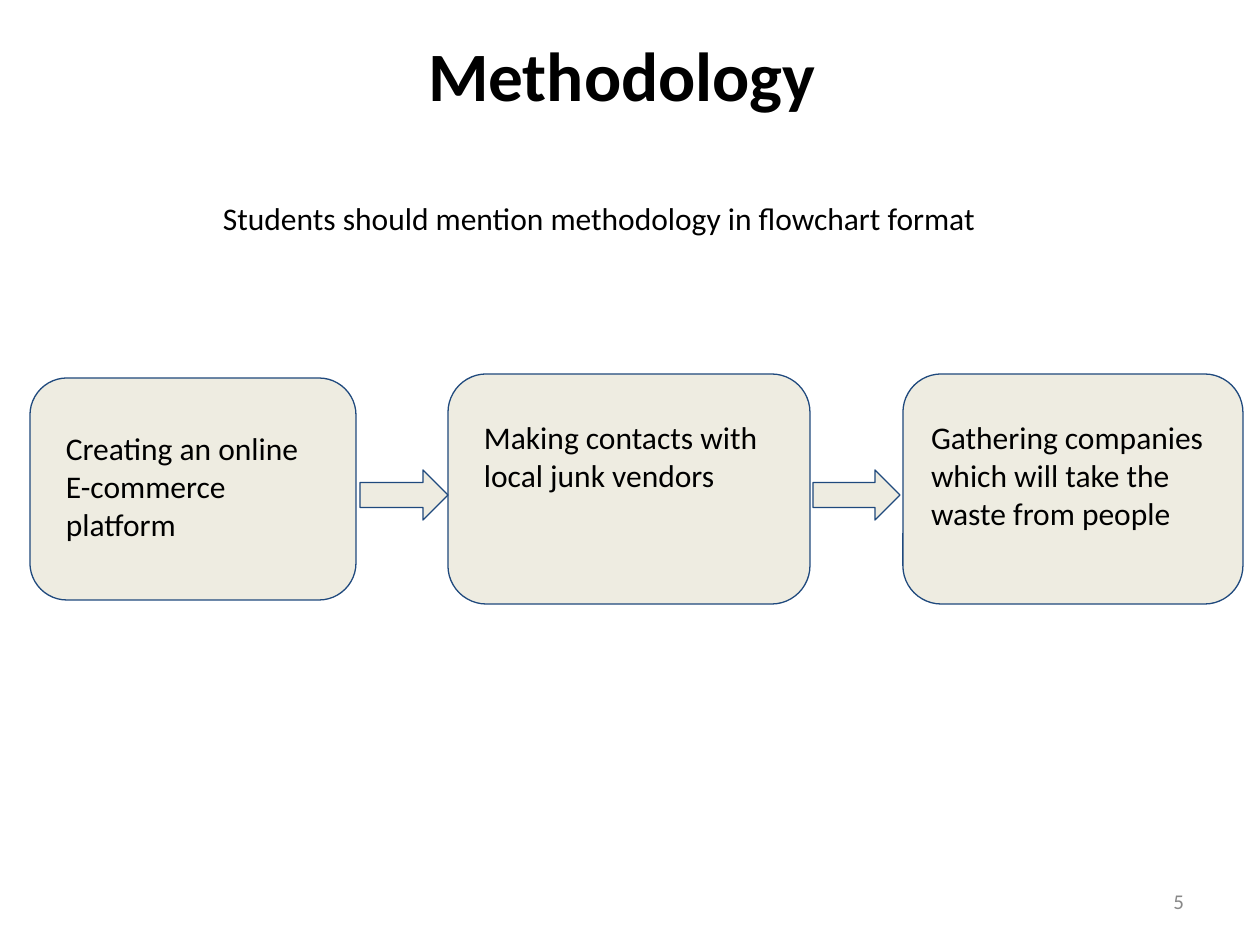
"""Build the Methodology slide: three flowchart steps joined by block arrows."""
from dataclasses import dataclass

from pptx import Presentation
from pptx.dml.color import RGBColor
from pptx.enum.shapes import MSO_SHAPE
from pptx.enum.text import MSO_ANCHOR, PP_ALIGN
from pptx.util import Pt

EMU_PER_PX = 914400 / 126


@dataclass(frozen=True)
class Theme:
    font: str = "Calibri"
    ink: str = "000000"
    muted: str = "888888"
    fill: str = "EEECE1"
    outline: str = "1F497D"
    title_size: float = 39.6
    body_size: float = 18
    number_size: float = 12
    outline_width: float = 0.75


THEME = Theme()
TITLE = ("Methodology", (55, 32, 1134, 157))
INSTRUCTION = ("Students should mention methodology in flowchart format", (210, 193, 903, 50))
PAGE_NUMBER = ("5", (903, 876, 294, 50))
STEPS = [
    ("Creating an online E-commerce platform", (30, 378, 326, 222), (53, 416, 266, 140)),
    ("Making contacts with local junk vendors", (448, 374, 362, 230), (471, 405, 318, 102)),
    ("Gathering companies which will take the waste from people", (903, 374, 340, 230), (918, 405, 310, 140)),
]
ARROWS = [(360, 470, 88, 50), (813, 470, 87, 50)]


def px(length):
    return round(length * EMU_PER_PX)


def add_text(slide, text, box, size=THEME.body_size, color=THEME.ink, bold=False,
             align=PP_ALIGN.LEFT, anchor=MSO_ANCHOR.TOP, inset=6):
    frame = slide.shapes.add_textbox(*map(px, box)).text_frame
    frame.word_wrap = True
    frame.vertical_anchor = anchor
    frame.margin_left = frame.margin_right = px(13)
    frame.margin_top = frame.margin_bottom = px(inset)
    paragraph = frame.paragraphs[0]
    paragraph.alignment = align
    run = paragraph.add_run()
    run.text = text
    run.font.name = THEME.font
    run.font.size = Pt(size)
    run.font.bold = bold
    run.font.color.rgb = RGBColor.from_string(color)


def add_block(slide, preset, box):
    block = slide.shapes.add_shape(preset, *map(px, box))
    block.shadow.inherit = False
    block.fill.solid()
    block.fill.fore_color.rgb = RGBColor.from_string(THEME.fill)
    block.line.color.rgb = RGBColor.from_string(THEME.outline)
    block.line.width = Pt(THEME.outline_width)


def main():
    deck = Presentation()
    deck.slide_width, deck.slide_height = px(1260), px(945)
    slide = deck.slides.add_slide(deck.slide_layouts[6])

    add_text(slide, *TITLE, size=THEME.title_size, bold=True, align=PP_ALIGN.CENTER, inset=0)
    add_text(slide, *PAGE_NUMBER, size=THEME.number_size, color=THEME.muted,
             align=PP_ALIGN.RIGHT, anchor=MSO_ANCHOR.MIDDLE)
    add_text(slide, *INSTRUCTION)

    for _, step_box, _ in STEPS:
        add_block(slide, MSO_SHAPE.ROUNDED_RECTANGLE, step_box)
    for arrow_box in ARROWS:
        add_block(slide, MSO_SHAPE.RIGHT_ARROW, arrow_box)
    for label, _, label_box in STEPS:
        add_text(slide, label, label_box, inset=13)

    deck.save("out.pptx")


if __name__ == "__main__":
    main()
